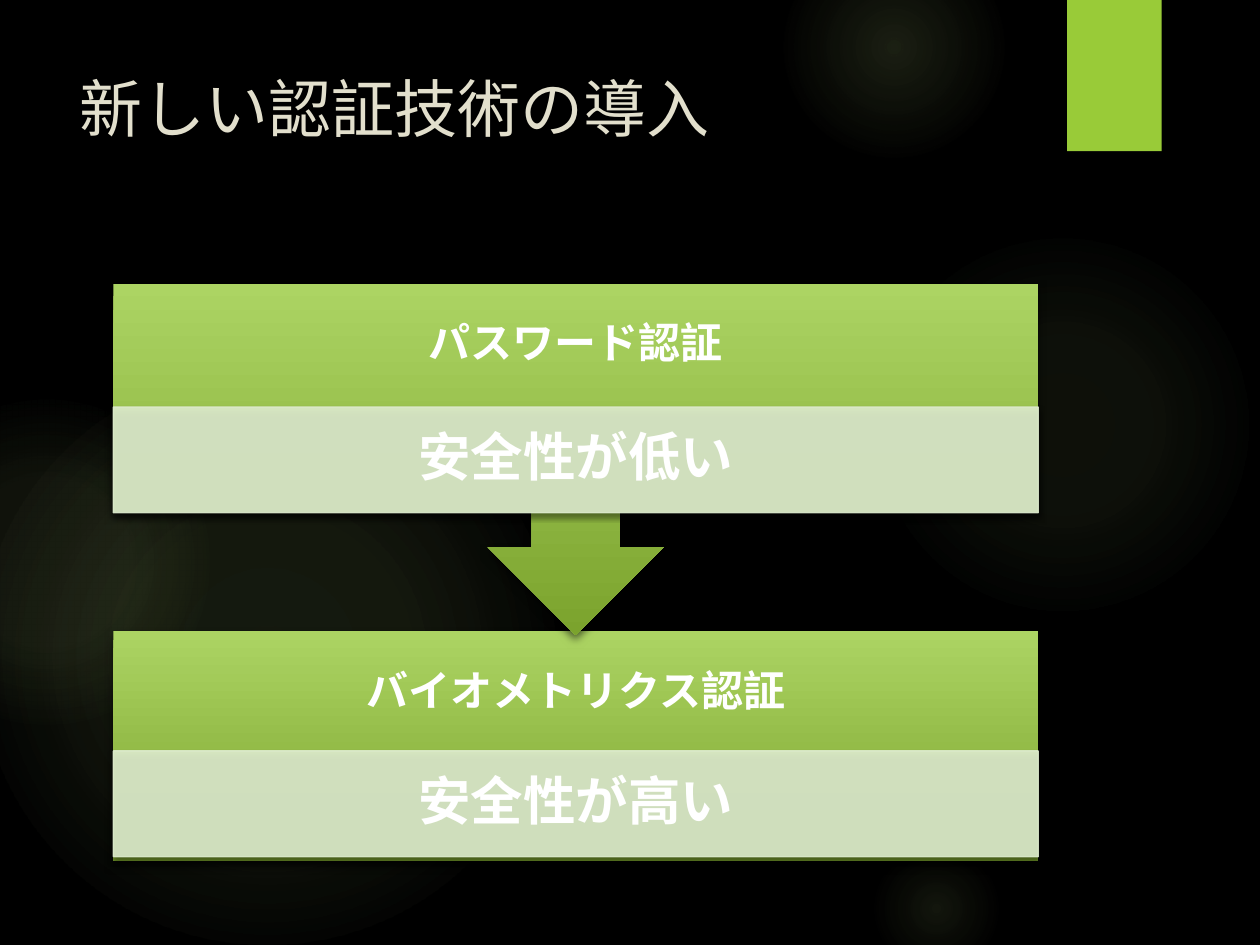
"""Build a slide on moving from password to biometric authentication."""
from lxml import etree
from pptx import Presentation
from pptx import util as u
from pptx.dml.color import RGBColor
from pptx.enum import shapes, text
from pptx.oxml.ns import qn

BLACK = RGBColor(0x00, 0x00, 0x00)
WHITE = RGBColor(0xFF, 0xFF, 0xFF)
CREAM = RGBColor(0xE2, 0xDF, 0xCC)
GREEN = RGBColor(0x99, 0xCB, 0x38)
GLOW = RGBColor(0xC2, 0xE0, 0x88)
LIGHT = RGBColor(0xAC, 0xD4, 0x63)
DARK = RGBColor(0x7B, 0xA3, 0x2D)
PALE = RGBColor(0xDE, 0xEC, 0xCE)

FONT = "TeX Gyre Adventor"
SHAPE = shapes.MSO_SHAPE
COLUMNS, ROWS = 100, 75
PANEL_LEFT, PANEL_WIDTH = 9, 73.4
HEAD_HEIGHT, BAND_HEIGHT = 9.8, 8.4
SOFT_SHADOW = (45, 3, 2)
DEEP_SHADOW = (60, 5, 3)

GLOWS = [
    (68.9, 18.3, 30.8, [(0, 7), (36, 6), (69, 0)]),
    (62.2, -5, 17.5, [(0, 14), (36, 7), (73, 0)]),
    (68.9, 66.7, 10.8, [(0, 10), (31, 5), (66, 0)]),
    (-1.7, 29.2, 45.8, [(0, 11), (36, 10), (75, 0)]),
    (-9.2, 31.7, 25.8, [(0, 8), (36, 8), (72, 0)]),
]
PANELS = [
    (SHAPE.RECTANGLE, 50.1, 18.2, 59.6, "バイオメトリクス認証", "安全性が高い"),
    (SHAPE.DOWN_ARROW_CALLOUT, 22.5, 27.9, 32.3, "パスワード認証", "安全性が低い"),
]


def add_node(parent, tag, **values):
    """Append a drawing element with its attributes."""
    return etree.SubElement(parent, qn(tag), {key: str(value) for key, value in values.items()})


def set_values(target, values):
    """Set each attribute named in a dict of format values."""
    for name, value in values.items():
        setattr(target, name, value)


class Painter:
    """Hold the style and the current slide."""

    def __init__(self, deck):
        """Start a black title-only slide."""
        self.deck = deck
        self.page = deck.slides.add_slide(deck.slide_layouts[5])
        fill = self.page.background.fill
        fill.solid()
        fill.fore_color.rgb = BLACK

    def place(self, left, top, width, height):
        """Turn grid columns and rows into slide lengths."""
        column, row = self.deck.slide_width / COLUMNS, self.deck.slide_height / ROWS
        return [round(size) for size in (left * column, top * row, width * column, height * row)]

    def put_text(self, frame, words, size, color, **paragraph):
        """Put one styled paragraph into a text frame."""
        para = frame.paragraphs[0]
        set_values(para, paragraph)
        span = para.add_run()
        span.text = words
        set_values(span.font, {"name": FONT, "size": u.Pt(size), "bold": color == WHITE})
        span.font.color.rgb = color

    def title(self, words, area):
        """Move and format the title placeholder."""
        box = self.page.shapes.title
        set_values(box, dict(zip(("left", "top", "width", "height"), self.place(*area))))
        set_values(box.text_frame, {"vertical_anchor": text.MSO_ANCHOR.TOP, "word_wrap": True,
                                    "auto_size": text.MSO_AUTO_SIZE.NONE})
        self.put_text(box.text_frame, words, 36, CREAM, alignment=text.PP_ALIGN.LEFT)

    def label(self, words, area, size, side, edge):
        """Add centred bold text with its insets in inches."""
        frame = self.page.shapes.add_textbox(*self.place(*area)).text_frame
        set_values(frame, {
            "word_wrap": True, "vertical_anchor": text.MSO_ANCHOR.MIDDLE,
            "margin_left": u.Inches(side), "margin_right": u.Inches(side),
            "margin_top": u.Inches(edge), "margin_bottom": u.Inches(edge)})
        self.put_text(frame, words, size, WHITE, alignment=text.PP_ALIGN.CENTER, line_spacing=0.9)

    def shape(self, kind, area, shadow=None):
        """Add a preset shape without a line, with an optional shadow."""
        shape = self.page.shapes.add_shape(kind, *self.place(*area))
        shape.line.fill.background()
        shape.shadow.inherit = False
        if shadow:
            opacity, blur, distance = shadow
            effects = shape._element.spPr.find(qn("a:effectLst"))
            outer = add_node(effects, "a:outerShdw", blurRad=u.Pt(blur), dist=u.Pt(distance),
                             dir=90 * 60000, rotWithShape=0)
            color = add_node(outer, "a:srgbClr", val=BLACK)
            add_node(color, "a:alpha", val=opacity * 1000)
        return shape

    def solid(self, area, color, opacity=100, outlined=False):
        """Add a plain rectangle with a soft shadow."""
        shape = self.shape(SHAPE.RECTANGLE, area, SOFT_SHADOW)
        fills = [shape.fill]
        if outlined:
            shape.line.width = u.Pt(0.75)
            fills.append(shape.line.fill)
        for fill in fills:
            fill.solid()
            fill.fore_color.rgb = color
        if opacity < 100:
            for paint in shape._element.spPr.iter(qn("a:solidFill")):
                add_node(paint.find(qn("a:srgbClr")), "a:alpha", val=opacity * 1000)

    def gradient(self, kind, area, stops, radial=False, shadow=None):
        """Add a shape with a gradient of position, colour and opacity stops."""
        shape = self.shape(kind, area, shadow)
        shape.fill.background()
        properties = shape._element.spPr
        blend = etree.Element(qn("a:gradFill"), rotWithShape="1")
        stop_list = add_node(blend, "a:gsLst")
        for position, color, opacity in stops:
            stop = add_node(stop_list, "a:gs", pos=position * 1000)
            add_node(add_node(stop, "a:srgbClr", val=color), "a:alpha", val=opacity * 1000)
        if radial:
            way = add_node(blend, "a:path", path="circle")
            add_node(way, "a:fillToRect", l=50000, t=50000, r=50000, b=50000)
        else:
            add_node(blend, "a:lin", ang=90 * 60000, scaled=0)
        properties.replace(properties.find(qn("a:noFill")), blend)

    def panel(self, kind, top, height, band_top, heading, verdict):
        """Add a gradient panel with a heading and a pale verdict band."""
        self.gradient(kind, (PANEL_LEFT, top, PANEL_WIDTH, height),
                      [(0, LIGHT, 100), (100, DARK, 100)], shadow=DEEP_SHADOW)
        self.label(heading, (PANEL_LEFT, top, PANEL_WIDTH, HEAD_HEIGHT), 24, 0.19, 0.19)
        band = (PANEL_LEFT, band_top, PANEL_WIDTH, BAND_HEIGHT)
        self.solid(band, PALE, 90, outlined=True)
        self.label(verdict, band, 30, 0.23, 0.04)


def main():
    """Build and save the deck."""
    deck = Presentation()
    deck.slide_width, deck.slide_height = u.Inches(10), u.Inches(7.5)
    painter = Painter(deck)
    for left, top, size, fades in GLOWS:
        stops = [(position, GLOW, opacity) for position, opacity in fades]
        painter.gradient(SHAPE.OVAL, (left, top, size, size), stops, radial=True)
    painter.solid((84.7, 0, 7.5, 12), GREEN)
    painter.title("新しい認証技術の導入", (5.3, 5, 77.2, 15.3))
    for panel in PANELS:
        painter.panel(*panel)
    deck.save("out.pptx")


if __name__ == "__main__":
    main()
